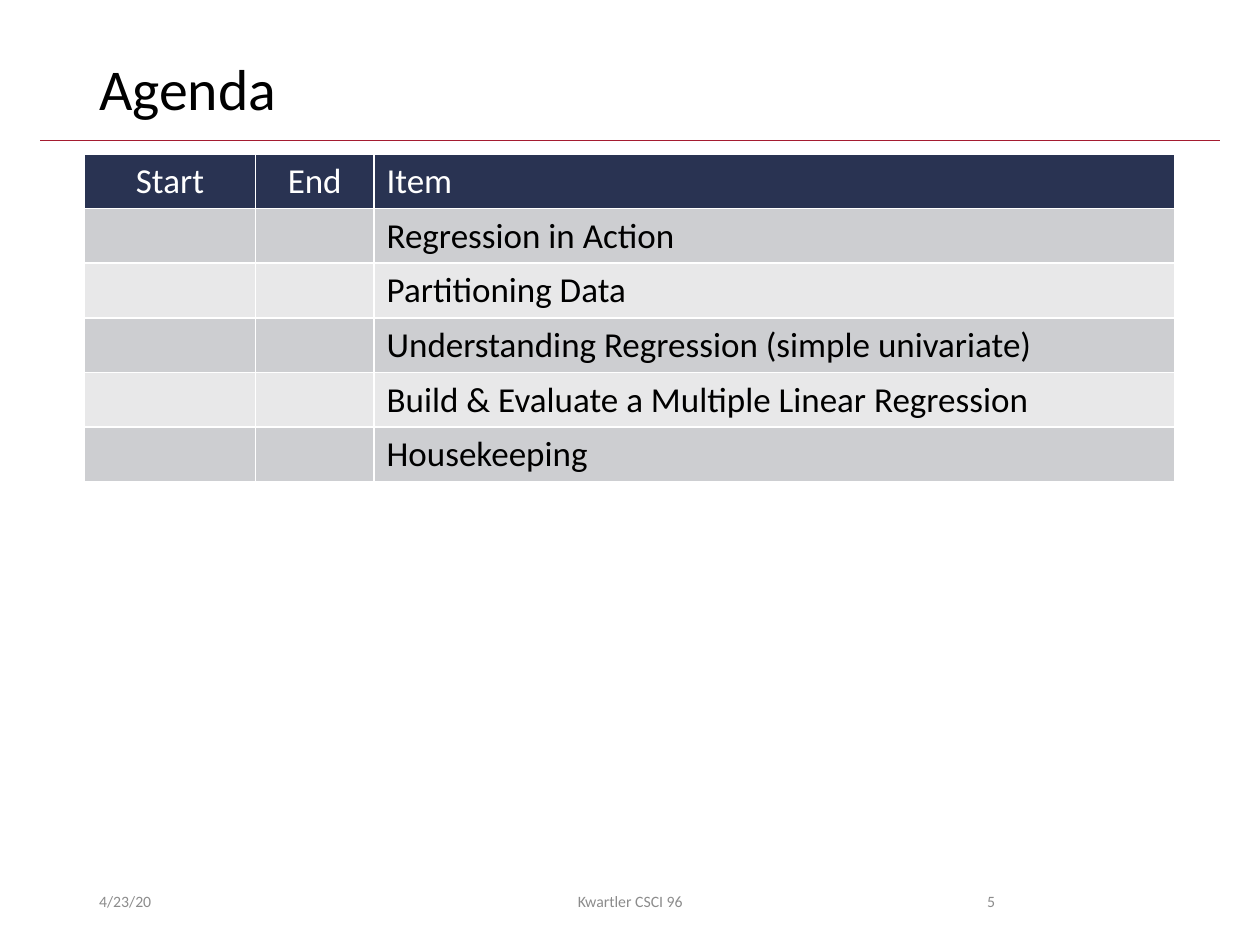
from dataclasses import dataclass

from lxml import etree
from pptx import Presentation
from pptx.dml.color import RGBColor
from pptx.enum.shapes import MSO_CONNECTOR
from pptx.enum.text import MSO_ANCHOR, PP_ALIGN
from pptx.oxml.ns import qn
from pptx.util import Cm, Pt

LEFT, CENTER, RIGHT = PP_ALIGN.LEFT, PP_ALIGN.CENTER, PP_ALIGN.RIGHT
MIDDLE = MSO_ANCHOR.MIDDLE
STRAIGHT = MSO_CONNECTOR.STRAIGHT


@dataclass(frozen=True)
class Theme:
    font: str = "Calibri"
    ink: str = "000000"
    paper: str = "FFFFFF"
    rule: str = "A51C30"
    header: str = "293352"
    bands: tuple = ("CDCED1", "E8E8E9")
    muted: str = "8C8C8C"
    title_size: float = 33
    table_size: float = 20
    footer_size: float = 9
    rule_width: float = 0.5
    border_width: float = 1


THEME = Theme()
COLUMN_WIDTHS = (3.45, 2.39, 16.15)
COLUMN_ALIGNMENTS = (CENTER, CENTER, LEFT)
ROW_HEIGHT = 1.1
HEADINGS = ("Start", "End", "Item")
ITEMS = (
    "Regression in Action",
    "Partitioning Data",
    "Understanding Regression (simple univariate)",
    "Build & Evaluate a Multiple Linear Regression",
    "Housekeeping",
)
FOOTERS = (
    ("4/23/20", 1.75, 5.72, LEFT),
    ("Kwartler CSCI 96", 8.41, 8.59, CENTER),
    ("5", 17.93, 2.38, RIGHT),
)


def style_text(text_frame, size, color, alignment):
    for paragraph in text_frame.paragraphs:
        paragraph.alignment = alignment
        for span in paragraph.runs:
            span.font.name = THEME.font
            span.font.size = Pt(size)
            span.font.color.rgb = RGBColor.from_string(color)


def add_text(page, text, left, top, width, height, size, color, alignment=LEFT):
    box = page.shapes.add_textbox(Cm(left), Cm(top), Cm(width), Cm(height))
    frame = box.text_frame
    frame.word_wrap = True
    frame.vertical_anchor = MIDDLE
    frame.text = text
    style_text(frame, size, color, alignment)
    return box


def add_rule(page, left, right, top):
    rule = page.shapes.add_connector(STRAIGHT, Cm(left), Cm(top), Cm(right), Cm(top))
    rule.line.color.rgb = RGBColor.from_string(THEME.rule)
    rule.line.width = Pt(THEME.rule_width)
    etree.SubElement(rule._element.spPr, qn("a:effectLst"))


def add_borders(cell):
    properties = cell._tc.get_or_add_tcPr()
    for position, side in enumerate(("a:lnL", "a:lnR", "a:lnT", "a:lnB")):
        border = etree.Element(qn(side), w=str(Pt(THEME.border_width)))
        fill = etree.SubElement(border, qn("a:solidFill"))
        etree.SubElement(fill, qn("a:srgbClr"), val=THEME.paper)
        properties.insert(position, border)


def fill_cell(cell, text, fill, color, alignment):
    cell.fill.solid()
    cell.fill.fore_color.rgb = RGBColor.from_string(fill)
    add_borders(cell)
    if text:
        cell.text_frame.text = text
        style_text(cell.text_frame, THEME.table_size, color, alignment)


def add_agenda(page, left, top):
    rows = [HEADINGS] + [("", "", item) for item in ITEMS]
    frame = page.shapes.add_table(
        len(rows), len(HEADINGS), Cm(left), Cm(top),
        Cm(sum(COLUMN_WIDTHS)), Cm(ROW_HEIGHT * len(rows)),
    )
    table = frame.table
    for column, width in zip(table.columns, COLUMN_WIDTHS):
        column.width = Cm(width)
    for index, texts in enumerate(rows):
        table.rows[index].height = Cm(ROW_HEIGHT)
        fill = THEME.bands[(index - 1) % 2] if index else THEME.header
        color = THEME.ink if index else THEME.paper
        for cell, text, alignment in zip(table.rows[index].cells, texts, COLUMN_ALIGNMENTS):
            fill_cell(cell, text, fill, color, alignment)


def main():
    deck = Presentation()
    deck.slide_width, deck.slide_height = Cm(25.4), Cm(19.05)
    page = deck.slides.add_slide(deck.slide_layouts[6])
    add_rule(page, 0.81, 24.59, 2.84)
    title = add_text(page, "Agenda", 1.75, 1.02, 21.9, 1.65, THEME.title_size, THEME.ink)
    title.text_frame.paragraphs[0].line_spacing = 0.9
    add_agenda(page, 1.7, 3.1)
    for text, left, width, alignment in FOOTERS:
        add_text(page, text, left, 17.65, width, 1.02, THEME.footer_size, THEME.muted, alignment)
    deck.save("out.pptx")


if __name__ == "__main__":
    main()
